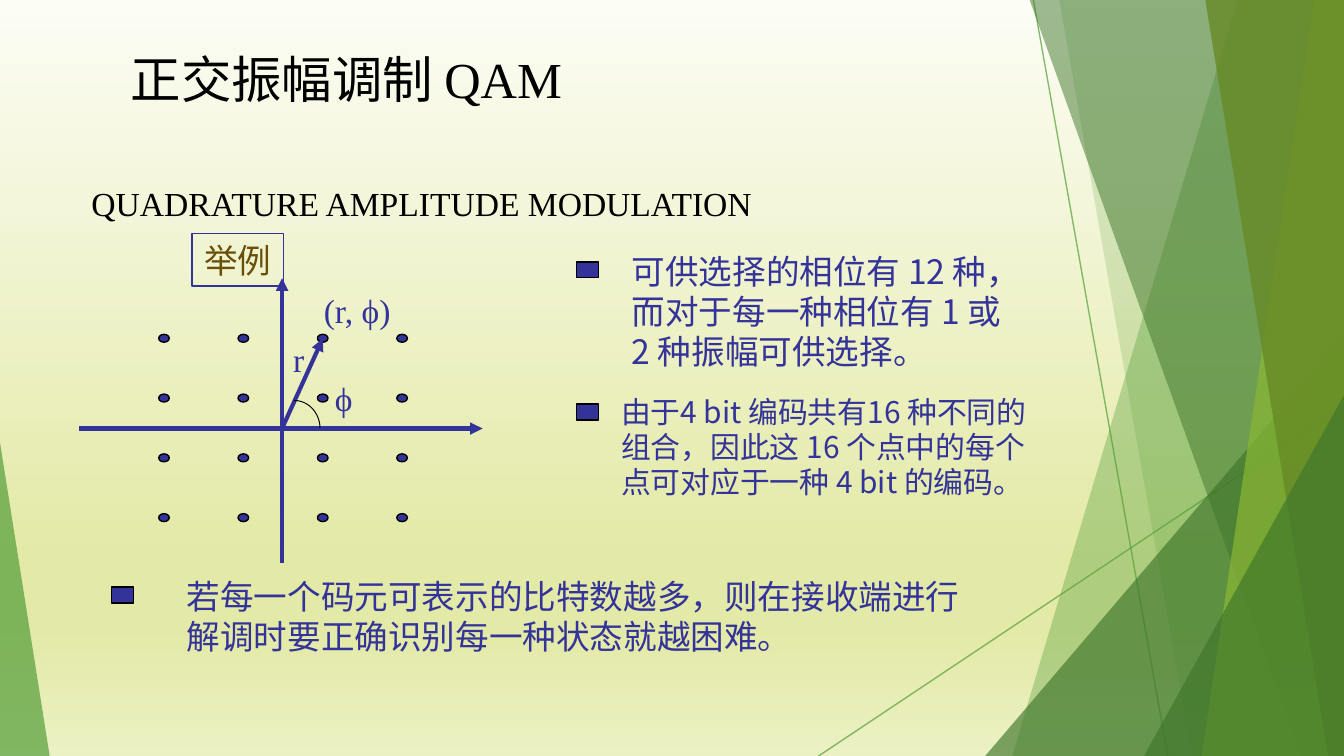
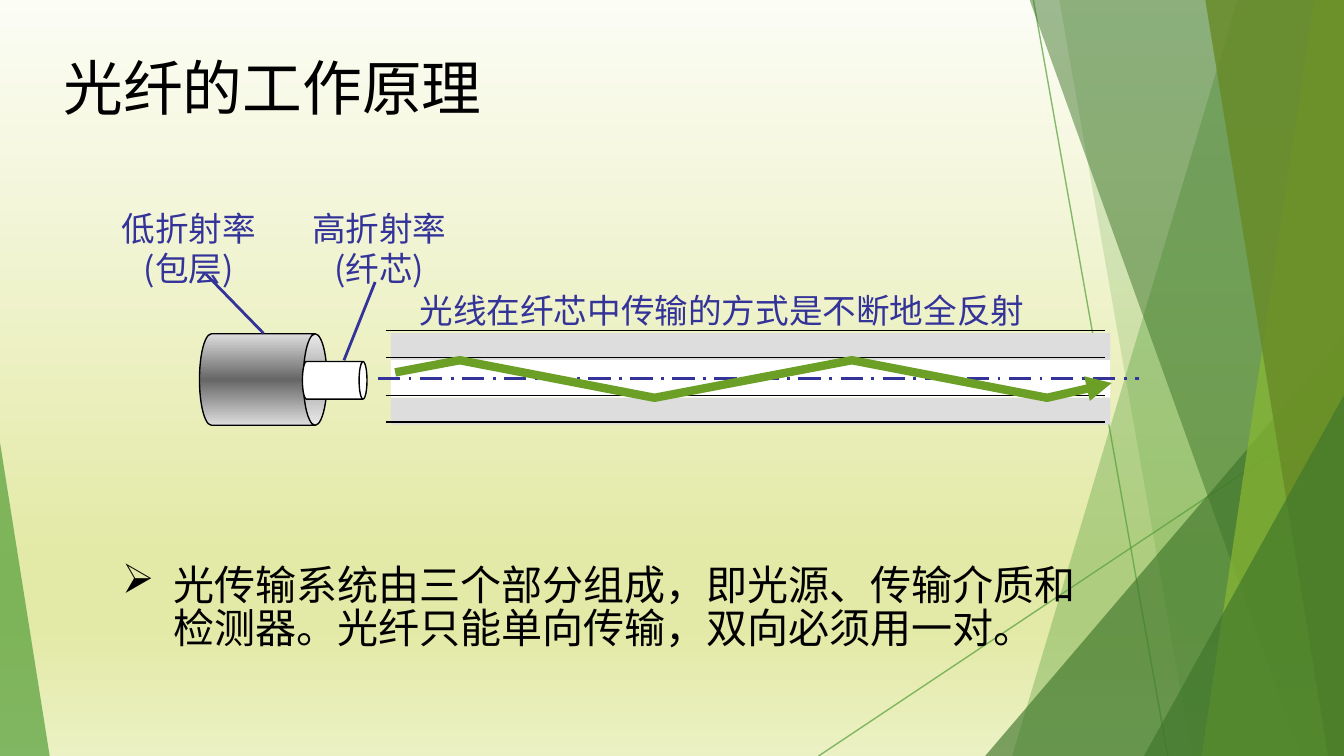
from dataclasses import dataclass
from math import cos, pi, sin

from lxml.etree import SubElement
from pptx import Presentation
from pptx.dml.color import RGBColor as RGB
from pptx.enum.dml import MSO_LINE as DASH
from pptx.enum.shapes import MSO_CONNECTOR as CONN, MSO_SHAPE as SHAPE
from pptx.enum.text import PP_ALIGN as ALIGN
from pptx.oxml.ns import qn
from pptx.util import Cm, Pt


@dataclass(frozen=True)
class Theme:
    black: str = "000000"
    white: str = "FFFFFF"
    ink: str = "333399"
    tag: str = "694F07"
    glass: str = "DDDDDD"
    shade: str = "666666"
    ray: str = "6B9F25"
    green: str = "549E39"
    forest: str = "3F762B"
    lime: str = "8AB833"
    olive: str = "678A26"
    sky: tuple = ((0, "FCFDF5"), (74, "E3E9A6"), (83, "E3E9A6"), (100, "ECF1C4"))
    serif: str = "Times New Roman"
    sans: str = "Noto Sans CJK SC"
    tag_font: str = "Lato"
    point_font: str = "Arial"
    title: int = 32
    title_small: int = 27
    point: int = 22
    body: int = 18
    body_small: int = 16
    leading: float = 1.19
    title_leading: float = 1.33
    point_leading: float = 1.07


T = Theme()
WIDTH, HEIGHT = 25.4, 14.29

# Right-hand facets, back to front: (kind, a, b, colour, opacity).
# A band runs from x=a at the top to x=b at the bottom; a wedge starts at (a, b).
FACETS = (
    ("band", 23.39, 19.13, T.green, 36),
    ("band", 20.02, 22.53, T.green, 20),
    ("wedge", 18.62, 6.35, T.forest, 66),
    ("band", 19.46, 24.59, T.forest, 50),
    ("band", 24.84, 22.71, T.lime, 70),
    ("band", 22.78, 25.1, T.olive, 80),
    ("wedge", 21.62, 7.47, T.forest, 66),
)


def set_gradient(fill, owner, stops, angle):
    """Fill with any number of (percent, colour) stops; owner holds the XML."""
    fill.gradient()
    fill.gradient_angle = angle
    gs_list = owner.find(".//" + qn("a:gsLst"))
    gs_list.clear()
    for percent, color in stops:
        gs = SubElement(gs_list, qn("a:gs"), pos=str(percent * 1000))
        SubElement(gs, qn("a:srgbClr"), val=color)


def set_opacity(fill_parent, percent):
    color = fill_parent.find(qn("a:solidFill")).find(qn("a:srgbClr"))
    SubElement(color, qn("a:alpha"), val=str(percent * 1000))


def set_line(line, color, width, dash=None, arrow=False, opacity=100):
    line.color.rgb = RGB.from_string(color)
    line.width = Pt(width)
    if dash:
        line.dash_style = dash
    ln = line._get_or_add_ln()
    if opacity < 100:
        set_opacity(ln, opacity)
    if arrow:
        SubElement(ln, qn("a:tailEnd"), type="triangle")


def add_bullet(p, char, color, left, hanging):
    pPr = p._p.get_or_add_pPr()
    pPr.set("marL", str(Cm(left)))
    pPr.set("indent", str(-Cm(hanging)))
    SubElement(SubElement(pPr, qn("a:buClr")), qn("a:srgbClr"), val=color)
    SubElement(pPr, qn("a:buChar"), char=char)


class Region:
    """Draws on a slide in centimetres measured from the region's corner."""

    def __init__(self, slide, x=0, y=0):
        self.shapes, self.x, self.y = slide.shapes, x, y

    def at(self, x, y):
        return Cm(self.x + x), Cm(self.y + y)

    def paint(self, sp, fill=None, line=None, width=0.75, opacity=100, arrow=False):
        sp.shadow.inherit = False
        if fill:
            sp.fill.solid()
            sp.fill.fore_color.rgb = RGB.from_string(fill)
            if opacity < 100:
                set_opacity(sp._element.spPr, opacity)
        else:
            sp.fill.background()
        if line:
            set_line(sp.line, line, width, arrow=arrow)
        else:
            sp.line.fill.background()
        return sp

    def shape(self, kind, x, y, w, h, adj=None, rotation=0, **look):
        sp = self.shapes.add_shape(kind, *self.at(x, y), Cm(w), Cm(h))
        if adj is not None:
            sp.adjustments[0] = adj
        sp.rotation = rotation
        return self.paint(sp, **look)

    def outline(self, points, close=False, **look):
        start, *rest = [self.at(*pt) for pt in points]
        builder = self.shapes.build_freeform(*start)
        builder.add_line_segments(rest, close=close)
        return self.paint(builder.convert_to_shape(), **look)

    def line(self, start, end, color, width, **look):
        c = self.shapes.add_connector(CONN.STRAIGHT, *self.at(*start), *self.at(*end))
        set_line(c.line, color, width, **look)
        SubElement(c._element.spPr, qn("a:effectLst"))

    def text(self, x, y, w, h, lines, **look):
        sp = self.shapes.add_textbox(*self.at(x, y), Cm(w), Cm(h))
        put_text(sp, lines, **look)


def put_text(sp, lines, size=T.body, color=T.ink, font=T.sans,
             leading=T.leading, align=ALIGN.LEFT, wrap=False, bullet=None):
    tf = sp.text_frame
    frame = dict(word_wrap=wrap, margin_left=Cm(0.23), margin_right=Cm(0.23),
                 margin_top=Cm(0.1), margin_bottom=Cm(0.1))
    for name, value in frame.items():
        setattr(tf, name, value)
    for i, line in enumerate(lines):
        p = tf.add_paragraph() if i else tf.paragraphs[0]
        if bullet:
            p.level = 1
            add_bullet(p, **bullet)
        p.alignment = align
        if leading:
            p.line_spacing = Pt(round(size * leading, 1))
        r = p.add_run()
        r.text = line
        for name, value in dict(size=Pt(size), name=font).items():
            setattr(r.font, name, value)
        r.font.color.rgb = RGB.from_string(color)
        SubElement(r._r.get_or_add_rPr(), qn("a:ea"), typeface=T.sans)


def draw_backdrop(slide):
    set_gradient(slide.background.fill, slide._element, T.sky, 270)
    g = Region(slide)
    for start, end in (((19.53, 0), (22.07, HEIGHT)), ((WIDTH, 7.67), (15.47, HEIGHT))):
        g.line(start, end, T.green, 0.75, opacity=70)
    for kind, a, b, color, opacity in FACETS:
        if kind == "band":
            g.outline([(a, 0), (WIDTH, 0), (WIDTH, HEIGHT), (b, HEIGHT)], close=True,
                      fill=color, opacity=opacity)
        else:
            g.shape(SHAPE.ISOSCELES_TRIANGLE, a, b, WIDTH - a, HEIGHT - b, adj=1,
                    fill=color, opacity=opacity)
    g.shape(SHAPE.ISOSCELES_TRIANGLE, 0, 8.36, 0.94, HEIGHT - 8.36, adj=0,
            fill=T.green, opacity=70)


def new_slide(prs, title, box, size):
    slide = prs.slides.add_slide(prs.slide_layouts[6])
    draw_backdrop(slide)
    Region(slide).text(*box, [title], size=size, color=T.black, font=T.serif,
                       leading=T.title_leading, wrap=True)
    return slide


def draw_constellation(slide, x, y):
    g = Region(slide, x, y)
    origin = ox, oy = 3.83, 3.68
    g.line((ox, 6.22), (ox, 0.84), T.ink, 2.25, arrow=True)
    for row in range(4):
        for col in range(4):
            g.shape(SHAPE.OVAL, 1.5 + 1.5 * col, 1.9 + 1.13 * row, 0.2, 0.15,
                    fill=T.ink, line=T.black)
    g.line((0, oy), (6.78, oy), T.black, 0.75, dash=DASH.ROUND_DOT)
    g.line((0, oy), (7.62, oy), T.ink, 2.25, arrow=True)
    g.line(origin, (4.6, 1.98), T.ink, 2.25, arrow=True)
    angles = [pi / 2 * (1 - i / 12) for i in range(13)]
    g.outline([(4.06 + 0.49 * cos(a), oy - 0.53 * sin(a)) for a in angles],
              line=T.black, width=0.5)
    for label, lx, ly, w in (("r", 3.81, 1.88, 0.66), ("ϕ", 4.6, 2.62, 0.84),
                             ("(r, ϕ)", 4.39, 0.96, 1.78)):
        g.text(lx, ly, w, 0.99, [label], font=T.serif, leading=None)
    tag = g.shape(SHAPE.RECTANGLE, 2.13, 0, 1.73, 0.99, line=T.ink)
    put_text(tag, ["举例"], color=T.tag, font=T.tag_font)


def draw_note(slide, x, y, w, h, gap, lines, size=T.body):
    """A square marker with its lines of text, gap to the right of it."""
    g = Region(slide, x, y)
    g.text(gap, 0, w, h, lines, size=size)
    g.shape(SHAPE.RECTANGLE, 0, 0.3, 0.41, 0.3, fill=T.ink, line=T.black)


def draw_fiber_section(slide, x, y):
    g = Region(slide, x, y)
    layers = ((0.51, T.glass), (0.71, T.white), (0.51, T.glass))
    edge = 0.87
    edges = [edge]
    for height, color in layers:
        g.shape(SHAPE.RECTANGLE, 0.25, edge + 0.05, 13.59, height, fill=color)
        edge += height
        edges.append(edge)
    for ey in edges:
        g.line((0.15, ey), (13.74, ey), T.black, 0.75)
    g.line((0, 1.78), (14.38, 1.78), T.ink, 1.5, dash=DASH.LONG_DASH_DOT)
    g.text(0.56, 0, 11.99, 0.99, ["光线在纤芯中传输的方式是不断地全反射"])
    top, bottom = 1.43, 2.14
    g.outline([(0.33, 1.66), (1.55, top), (5.23, bottom), (8.96, top),
               (12.65, bottom), (13.87, 1.86)], line=T.ray, width=4.5, arrow=True)


def draw_cable(slide, x, y):
    g = Region(slide, x, y)
    cladding = g.shape(SHAPE.CAN, 2.05, 2.13, 1.73, 2.41, adj=0.26, rotation=90,
                       line=T.black)
    set_gradient(cladding.fill, cladding._element,
                 ((0, T.glass), (50, T.shade), (100, T.glass)), 0)
    g.shape(SHAPE.CAN, 3.91, 2.74, 0.71, 1.22, adj=0.21, rotation=90,
            fill=T.white, line=T.black)
    for lx, lines, start, end in (
            (3.6, ["高折射率", "(纤芯)"], (5.03, 1.49), (4.44, 2.97)),
            (0, ["低折射率", "(包层)"], (1.83, 1.34), (2.92, 2.46))):
        g.text(lx, 0, 3.02, 1.78, lines, align=ALIGN.CENTER)
        g.line(start, end, T.ink, 1.5)


def build_qam_slide(prs):
    slide = new_slide(prs, "正交振幅调制 QAM", (2.24, 0.69, 20.45, 1.65), T.title_small)
    draw_constellation(slide, 1.5, 4.42)
    draw_note(slide, 10.9, 4.65, 8.15, 2.54, 0.81,
              ["可供选择的相位有 12 种，", "而对于每一种相位有 1 或", "2 种振幅可供选择。"])
    draw_note(slide, 10.9, 7.34, 9.02, 2.29, 0.61,
              ["由于4 bit 编码共有16 种不同的", "组合，因此这 16 个点中的每个",
               "点可对应于一种 4 bit 的编码。"], T.body_small)
    draw_note(slide, 2.11, 10.8, 15.21, 1.78, 1.19,
              ["若每一个码元可表示的比特数越多，则在接收端进行",
               "解调时要正确识别每一种状态就越困难。"])
    Region(slide).text(1.5, 3.35, 13.06, 0.99, ["QUADRATURE AMPLITUDE MODULATION"],
                       color=T.black, font=T.serif, leading=None)


def build_fiber_slide(prs):
    slide = new_slide(prs, "光纤的工作原理", (0.97, 0.71, 22.86, 1.19), T.title)
    draw_fiber_section(slide, 7.14, 5.38)
    draw_cable(slide, 2.06, 3.84)
    Region(slide).text(
        0.97, 10.57, 19.81, 1.93,
        ["光传输系统由三个部分组成，即光源、传输介质和检测器。光纤只能单向传输，双向必须用一对。"],
        size=T.point, color=T.black, font=T.point_font, leading=T.point_leading,
        wrap=True, bullet=dict(char="➢", color=T.black, left=2.08, hanging=0.97))


def main():
    prs = Presentation()
    prs.slide_width, prs.slide_height = Cm(WIDTH), Cm(HEIGHT)
    build_qam_slide(prs)
    build_fiber_slide(prs)
    prs.save("out.pptx")


if __name__ == "__main__":
    main()
